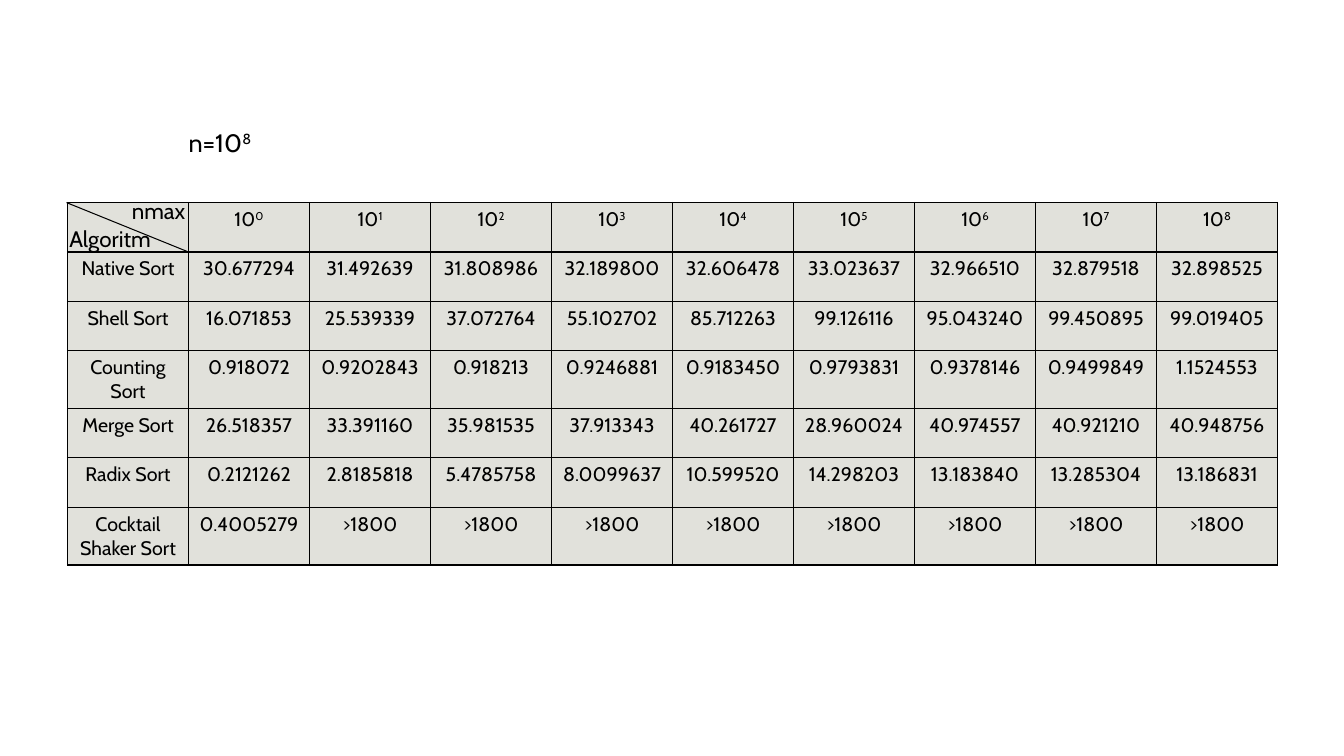
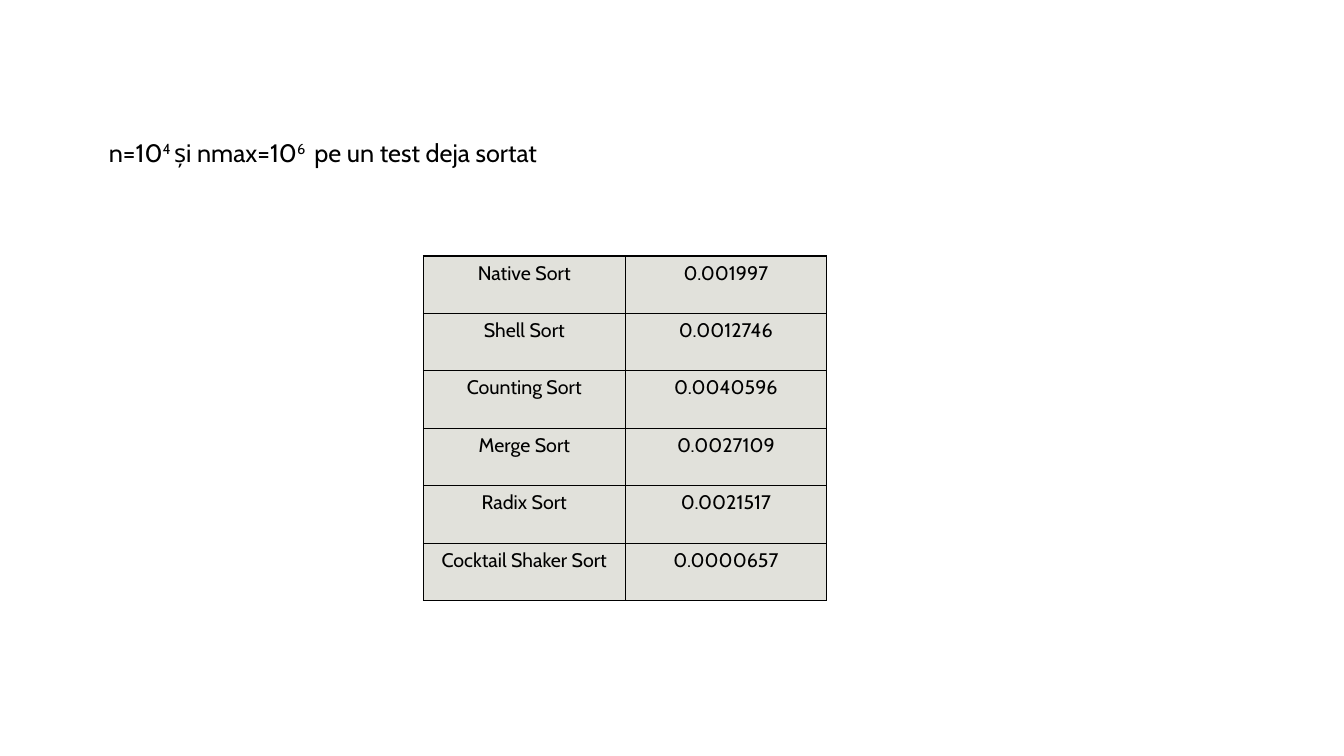
"""Build two slides that tabulate sorting algorithm run times."""
from dataclasses import dataclass

from lxml.etree import SubElement
from pptx import Presentation
from pptx.dml.color import RGBColor
from pptx.enum.text import MSO_ANCHOR, MSO_AUTO_SIZE, PP_ALIGN
from pptx.enum.shapes import MSO_CONNECTOR
from pptx.oxml import parse_xml
from pptx.oxml.ns import nsdecls, qn
from pptx.util import Inches, Pt


@dataclass(frozen=True)
class Theme:
    font: str = "Cabin"
    ink: RGBColor = RGBColor(0, 0, 0)
    cell: RGBColor = RGBColor(0xE1, 0xE1, 0xDB)
    title: int = 18
    label: int = 16
    body: int = 14


theme = Theme()


def write(frame, text, size, align=PP_ALIGN.LEFT):
    """Write one paragraph in which ^marks^ enclose superscripts."""
    para = frame.paragraphs[0]
    para.alignment = align
    para.font.name = theme.font
    para.font.size = Pt(size)
    para.font.color.rgb = theme.ink
    for index, part in enumerate(text.split("^")):
        if part:
            span = para.add_run()
            span.text = part
            if index % 2:
                span._r.get_or_add_rPr().set("baseline", "30000")


def add_grid(page, rows, left, top, column_width, row_height):
    """Add a bordered table of centred text."""
    columns = len(rows[0])
    grid = page.shapes.add_table(
        len(rows), columns, Inches(left), Inches(top),
        Inches(column_width * columns), Inches(row_height * len(rows))).table
    grid.first_row = grid.horz_banding = False
    for row, values in zip(grid.rows, rows):
        for cell, value in zip(row.cells, values):
            properties = cell._tc.get_or_add_tcPr()
            for side in ("lnL", "lnR", "lnT", "lnB"):
                properties.append(parse_xml(
                    f'<a:{side} {nsdecls("a")} w="12700"><a:solidFill>'
                    f'<a:srgbClr val="{theme.ink}"/></a:solidFill></a:{side}>'))
            cell.fill.solid()
            cell.fill.fore_color.rgb = theme.cell
            write(cell.text_frame, value, theme.body, PP_ALIGN.CENTER)


timings = {
    "Native Sort": "30.677294 31.492639 31.808986 32.189800 32.606478 33.023637 32.966510 32.879518 32.898525",
    "Shell Sort": "16.071853 25.539339 37.072764 55.102702 85.712263 99.126116 95.043240 99.450895 99.019405",
    "Counting Sort": "0.918072 0.9202843 0.918213 0.9246881 0.9183450 0.9793831 0.9378146 0.9499849 1.1524553",
    "Merge Sort": "26.518357 33.391160 35.981535 37.913343 40.261727 28.960024 40.974557 40.921210 40.948756",
    "Radix Sort": "0.2121262 2.8185818 5.4785758 8.0099637 10.599520 14.298203 13.183840 13.285304 13.186831",
    "Cocktail Shaker Sort": "0.4005279" + " >1800" * 8,
}
sorted_input = ["0.001997", "0.0012746", "0.0040596", "0.0027109", "0.0021517", "0.0000657"]
header = ["", *(f"10^{power}^" for power in range(9))]
by_limit = [header, *([name, *values.split()] for name, values in timings.items())]

deck = Presentation()
deck.slide_width, deck.slide_height = Inches(13.33), Inches(7.5)
pages = []
for text, left, top, width in (
        ("n=10^8^", 1.77, 1.21, 2.07),
        ("n=10^4 ^și nmax=10^6 ^ pe un test deja sortat", 0.98, 1.31, 6.22)):
    page = deck.slides.add_slide(deck.slide_layouts[5])
    title = page.shapes.title
    title.left, title.top = Inches(left), Inches(top)
    title.width, title.height = Inches(width), Inches(0.4)
    title.text_frame.auto_size = MSO_AUTO_SIZE.NONE
    title.text_frame.vertical_anchor = MSO_ANCHOR.TOP
    write(title.text_frame, text, theme.title)
    pages.append(page)
limit_page, sorted_page = pages

add_grid(limit_page, by_limit, 0.67, 2.01, 1.2, 0.49)
diagonal = limit_page.shapes.add_connector(
    MSO_CONNECTOR.STRAIGHT, Inches(0.66), Inches(2.01), Inches(1.87), Inches(2.5))
diagonal.line.color.rgb = theme.ink
diagonal.line.width = Pt(0.75)
SubElement(diagonal._element.spPr, qn("a:effectLst"))
for text, left, top, width in (("nmax", 1.21, 1.91, 0.86), ("Algoritm", 0.59, 2.18, 1.23)):
    box = limit_page.shapes.add_textbox(Inches(left), Inches(top), Inches(width), Inches(0.37))
    box.text_frame.word_wrap = True
    write(box.text_frame, text, theme.label)

add_grid(sorted_page, list(zip(timings, sorted_input)), 4.2, 2.54, 2, 0.57)

deck.save("out.pptx")
